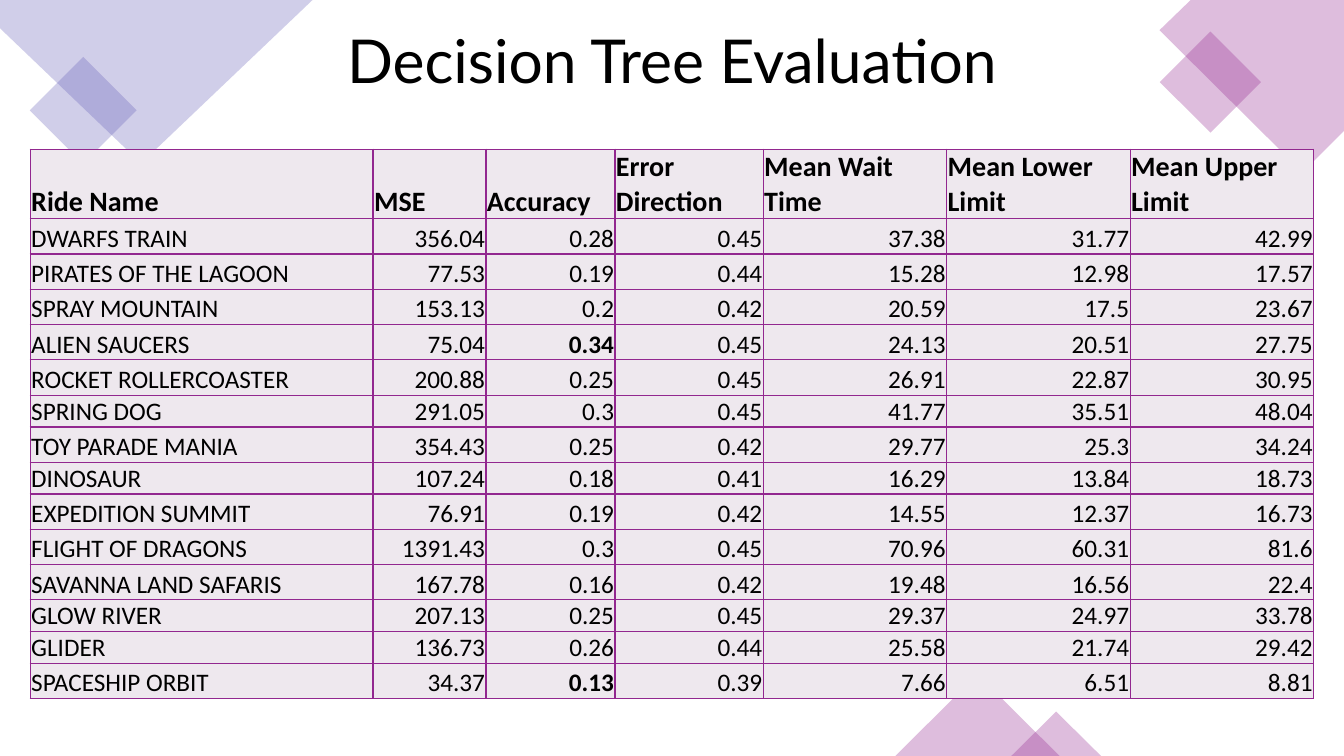
from lxml.etree import SubElement
from pptx import Presentation
from pptx.dml.color import RGBColor
from pptx.enum.shapes import MSO_SHAPE
from pptx.enum.text import MSO_ANCHOR, PP_ALIGN
from pptx.oxml.ns import qn
from pptx.util import Inches, Pt

BLACK = RGBColor(0x00, 0x00, 0x00)
LAVENDER = RGBColor(0x66, 0x5E, 0xB8)
PURPLE = RGBColor(0x92, 0x27, 0x8F)
CELL_FILL = RGBColor(0xEE, 0xE8, 0xEE)

HEADERS = ["Ride Name", "MSE", "Accuracy", "Error Direction",
           "Mean Wait Time", "Mean Lower Limit", "Mean Upper Limit"]
RIDES = [
    ("DWARFS TRAIN", 356.04, 0.28, 0.45, 37.38, 31.77, 42.99),
    ("PIRATES OF THE LAGOON", 77.53, 0.19, 0.44, 15.28, 12.98, 17.57),
    ("SPRAY MOUNTAIN", 153.13, 0.2, 0.42, 20.59, 17.5, 23.67),
    ("ALIEN SAUCERS", 75.04, 0.34, 0.45, 24.13, 20.51, 27.75),
    ("ROCKET ROLLERCOASTER", 200.88, 0.25, 0.45, 26.91, 22.87, 30.95),
    ("SPRING DOG", 291.05, 0.3, 0.45, 41.77, 35.51, 48.04),
    ("TOY PARADE MANIA", 354.43, 0.25, 0.42, 29.77, 25.3, 34.24),
    ("DINOSAUR", 107.24, 0.18, 0.41, 16.29, 13.84, 18.73),
    ("EXPEDITION SUMMIT", 76.91, 0.19, 0.42, 14.55, 12.37, 16.73),
    ("FLIGHT OF DRAGONS", 1391.43, 0.3, 0.45, 70.96, 60.31, 81.6),
    ("SAVANNA LAND SAFARIS", 167.78, 0.16, 0.42, 19.48, 16.56, 22.4),
    ("GLOW RIVER", 207.13, 0.25, 0.45, 29.37, 24.97, 33.78),
    ("GLIDER", 136.73, 0.26, 0.44, 25.58, 21.74, 29.42),
    ("SPACESHIP ORBIT", 34.37, 0.13, 0.39, 7.66, 6.51, 8.81),
]
COLUMN_WIDTHS = [3.4, 1.12, 1.28, 1.47, 1.82, 1.82, 1.82]
HEADER_HEIGHT, ROW_HEIGHT, SHORT_HEIGHT = 0.68, 0.35, 0.31
SHORT_ROWS = {6, 8, 12, 13}
ACCURACY = 2


def add_run(para, text, font_name, size, bold=False):
    span = para.add_run()
    span.text = text
    span.font.name = font_name
    span.font.size = Pt(size)
    span.font.bold = bold
    span.font.color.rgb = BLACK


def tint(shape, color):
    """Fill a decoration with a 30 % opaque colour and drop its outline."""
    shape.shadow.inherit = False
    shape.line.fill.background()
    shape.fill.solid()
    shape.fill.fore_color.rgb = color
    color_element = shape.fill._xPr.find(qn("a:solidFill"))[0]
    SubElement(color_element, qn("a:alpha"), val="30000")


def add_preset(page, kind, left, top, width, height, color, rotation=0):
    shape = page.shapes.add_shape(
        kind, Inches(left), Inches(top), Inches(width), Inches(height))
    shape.rotation = rotation
    tint(shape, color)


def add_polygon(page, points, color):
    start, *rest = [(Inches(x), Inches(y)) for x, y in points]
    builder = page.shapes.build_freeform(*start)
    builder.add_line_segments(rest, close=True)
    tint(builder.convert_to_shape(), color)


def add_title(page):
    title = page.shapes.title
    title.left, title.top = Inches(3.15), Inches(0.18)
    title.width, title.height = Inches(7.03), Inches(0.91)
    title.text_frame.vertical_anchor = MSO_ANCHOR.MIDDLE
    para = title.text_frame.paragraphs[0]
    para.alignment = PP_ALIGN.CENTER
    para.line_spacing = 0.9
    add_run(para, "Decision Tree Evaluation", "Lato", 43.2)


def add_decorations(page):
    add_preset(page, MSO_SHAPE.RECTANGLE, 0.45, 0.72, 0.75, 0.75, LAVENDER, 45)
    add_polygon(page, [(0, 0), (3.1, 0), (1.4, 1.62), (0, 0.28)], LAVENDER)
    add_polygon(page, [(11.81, 0), (13.33, 0), (13.33, 1.3), (12.92, 1.71),
                       (11.5, 0.3)], PURPLE)
    add_preset(page, MSO_SHAPE.RECTANGLE, 11.65, 0.46, 0.71, 0.71, PURPLE, 45)
    add_preset(page, MSO_SHAPE.ISOSCELES_TRIANGLE, 8.88, 6.69, 1.63, 0.81, PURPLE)
    add_preset(page, MSO_SHAPE.ISOSCELES_TRIANGLE, 10.03, 7.06, 0.89, 0.44, PURPLE)


def style_cell(cell):
    """Set the borders, fill, margins and anchor of a cell."""
    properties = cell._tc.get_or_add_tcPr()
    for side in ("a:lnL", "a:lnR", "a:lnT", "a:lnB"):
        line = SubElement(properties, qn(side), w=str(Pt(1)))
        fill = SubElement(line, qn("a:solidFill"))
        SubElement(fill, qn("a:srgbClr"), val=str(PURPLE))
    cell.fill.solid()
    cell.fill.fore_color.rgb = CELL_FILL
    cell.margin_left = cell.margin_right = cell.margin_top = Inches(0.01)
    cell.margin_bottom = 0
    cell.vertical_anchor = MSO_ANCHOR.BOTTOM


def add_ride_table(page):
    rows = [HEADERS, *RIDES]
    frame = page.shapes.add_table(
        len(rows), len(HEADERS), Inches(0.3), Inches(1.48),
        Inches(sum(COLUMN_WIDTHS)), Inches(5.4))
    table = frame.table
    table.first_row = table.horz_banding = False
    for column, width in zip(table.columns, COLUMN_WIDTHS):
        column.width = Inches(width)

    accuracies = [ride[ACCURACY] for ride in RIDES]
    extremes = (min(accuracies), max(accuracies))
    for r, values in enumerate(rows):
        is_header = r == 0
        height = SHORT_HEIGHT if r in SHORT_ROWS else ROW_HEIGHT
        table.rows[r].height = Inches(HEADER_HEIGHT if is_header else height)
        for c, value in enumerate(values):
            cell = table.cell(r, c)
            style_cell(cell)
            para = cell.text_frame.paragraphs[0]
            is_number = not isinstance(value, str)
            para.alignment = PP_ALIGN.RIGHT if is_number else PP_ALIGN.LEFT
            bold = is_header or (c == ACCURACY and value in extremes)
            add_run(para, str(value), "Calibri", 20 if is_header else 18, bold)


def main():
    deck = Presentation()
    deck.slide_width, deck.slide_height = Inches(13.33), Inches(7.5)
    page = deck.slides.add_slide(deck.slide_layouts[5])
    add_title(page)
    add_decorations(page)
    add_ride_table(page)
    deck.save("out.pptx")


if __name__ == "__main__":
    main()
